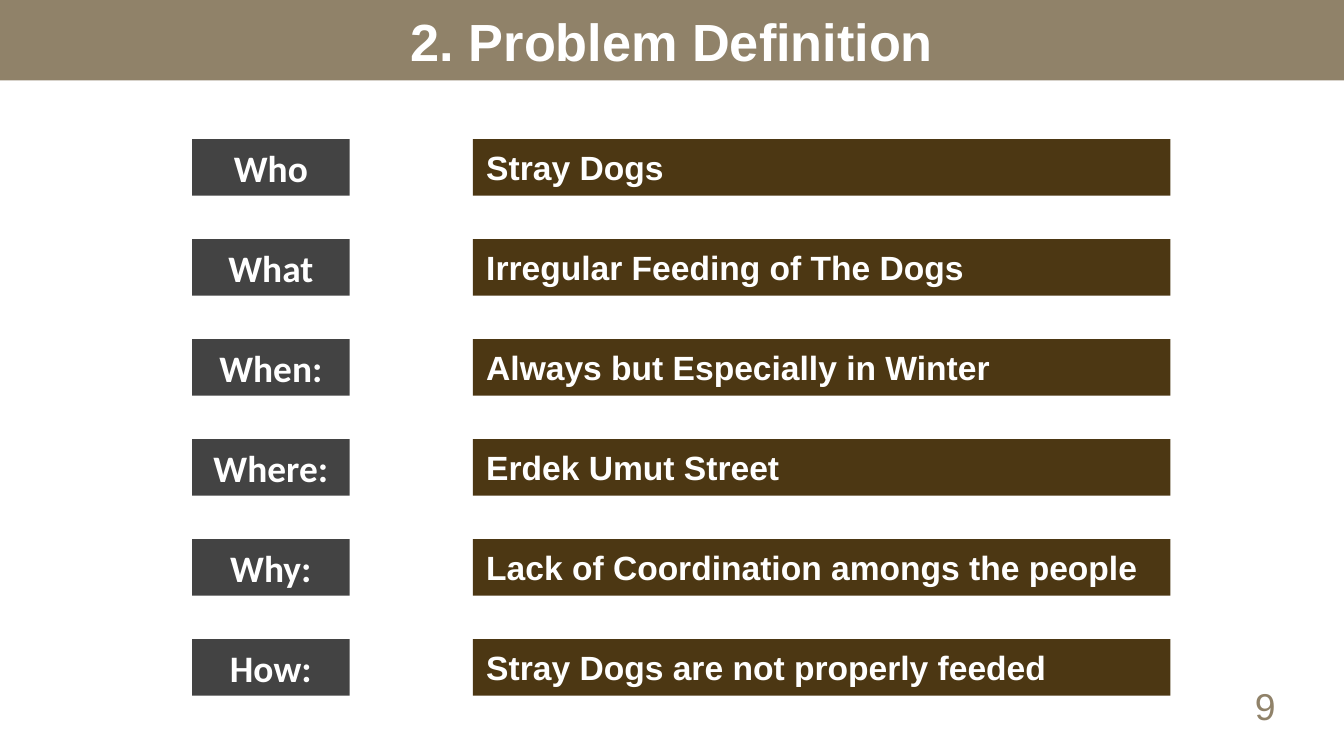
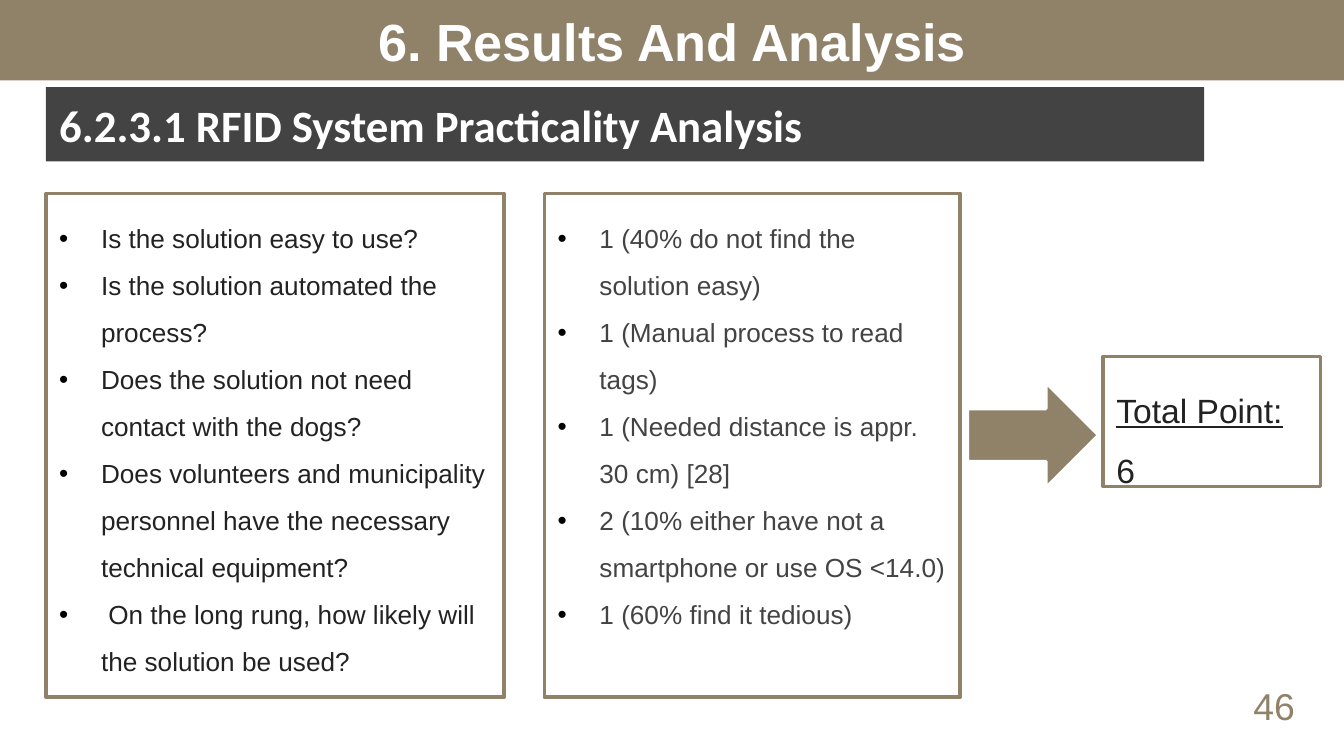
import lxml.etree
import pptx
import pptx.dml.color
import pptx.enum.shapes
import pptx.enum.text
import pptx.oxml.ns
import pptx.util

Cm = pptx.util.Cm
Pt = pptx.util.Pt
RGBColor = pptx.dml.color.RGBColor
Align = pptx.enum.text.PP_ALIGN
Anchor = pptx.enum.text.MSO_ANCHOR
Shape = pptx.enum.shapes.MSO_SHAPE

TAUPE = RGBColor(0x90, 0x82, 0x69)
BROWN = RGBColor(0x4C, 0x37, 0x13)
CHARCOAL = RGBColor(0x43, 0x43, 0x43)
INK = RGBColor(0x22, 0x22, 0x22)
WHITE = RGBColor(0xFF, 0xFF, 0xFF)
BLACK = RGBColor(0, 0, 0)

SLIDE_WIDTH, SLIDE_HEIGHT = 25.4, 14.29
BAND_HEIGHT = 1.52
INSET = 0.25
BULLET_INDENT = 0.79
LAYOUT_TITLE_ONLY = 5

PROBLEM_ROWS = [
    ("Who", "Stray Dogs"),
    ("What", "Irregular Feeding of The Dogs"),
    ("When:", "Always but Especially in Winter"),
    ("Where:", "Erdek Umut Street"),
    ("Why:", "Lack of Coordination amongs the people"),
    ("How:", "Stray Dogs are not properly feeded"),
]
QUESTIONS = [
    "Is the solution easy to use?",
    "Is the solution automated the process?",
    "Does the solution not need contact with the dogs?",
    "Does volunteers and municipality personnel have the necessary technical equipment?",
    " On the long rung, how likely will the solution be used?",
]
SCORES = [
    "1 (40% do not find the solution easy)",
    "1 (Manual process to read tags)",
    "1 (Needed distance is appr. 30 cm) [28]",
    "2 (10% either have not a smartphone or use OS <14.0)",
    "1 (60% find it tedious)",
]


def lengths(box):
    return [Cm(value) for value in box]


def add_block(slide, box, fill, line=None, kind=Shape.RECTANGLE):
    shape = slide.shapes.add_shape(kind, *lengths(box))
    shape.shadow.inherit = False
    shape.fill.solid()
    shape.fill.fore_color.rgb = fill
    if line is None:
        shape.line.fill.background()
    else:
        shape.line.color.rgb = line
        shape.line.width = Pt(2)
    return shape


def set_insets(frame):
    frame.margin_left = frame.margin_right = Cm(INSET)
    frame.margin_top = frame.margin_bottom = Cm(INSET)


def write(shape, lines, size, color, font="Arial", bold=False,
          align=Align.LEFT, anchor=Anchor.MIDDLE, spacing=None, bullets=False):
    """Fill a shape with one formatted paragraph per line."""
    frame = shape.text_frame
    frame.word_wrap = True
    frame.vertical_anchor = anchor
    frame.text = "\n".join(lines)
    for paragraph in frame.paragraphs:
        if bullets:
            add_bullet(paragraph)
        paragraph.alignment = align
        paragraph.line_spacing = spacing
        for run in paragraph.runs:
            run.font.name = font
            run.font.size = Pt(size)
            run.font.bold = bold
            run.font.color.rgb = color


def add_bullet(paragraph):
    qn = pptx.oxml.ns.qn
    properties = paragraph._p.get_or_add_pPr()
    properties.set("marL", str(Cm(BULLET_INDENT)))
    properties.set("indent", str(-Cm(BULLET_INDENT)))
    color = lxml.etree.SubElement(properties, qn("a:buClr"))
    lxml.etree.SubElement(color, qn("a:srgbClr"), val=str(BLACK))
    lxml.etree.SubElement(properties, qn("a:buFont"), typeface="Arial")
    lxml.etree.SubElement(properties, qn("a:buChar"), char="•")


def add_base_slide(presentation, title_text, number, number_left):
    """Add a slide with the title band and the page number."""
    slide = presentation.slides.add_slide(
        presentation.slide_layouts[LAYOUT_TITLE_ONLY])
    box = (0, 0, SLIDE_WIDTH, BAND_HEIGHT)
    band = add_block(slide, box, TAUPE)
    title = slide.shapes.title
    band.element.addnext(title.element)
    title.left, title.top, title.width, title.height = lengths(box)
    title.text_frame.auto_size = pptx.enum.text.MSO_AUTO_SIZE.NONE
    set_insets(title.text_frame)
    write(title, [title_text], 28, WHITE, bold=True, align=Align.CENTER)
    page = slide.shapes.add_textbox(
        *lengths((number_left, 12.78, SLIDE_WIDTH - number_left, 1.12)))
    write(page, [number], 20, TAUPE, align=Align.CENTER, anchor=Anchor.TOP)
    return slide


def add_problem_row(slide, box, label, answer):
    left, top, width, height = box
    label_width, answer_offset = 2.98, 5.31
    label_block = add_block(slide, (left, top, label_width, height), CHARCOAL)
    answer_block = add_block(
        slide, (left + answer_offset, top, width - answer_offset, height), BROWN)
    for block in (label_block, answer_block):
        set_insets(block.text_frame)
    write(label_block, [label], 20, WHITE, "Calibri", True, Align.CENTER)
    write(answer_block, [answer], 18, WHITE, bold=True)


def add_section_heading(slide, box, text):
    heading = add_block(slide, box, CHARCOAL)
    set_insets(heading.text_frame)
    write(heading, [text], 24, WHITE, "Calibri", True)


def add_framed_text(slide, box, lines, size, color, bullets=False):
    frame = add_block(slide, box, WHITE, TAUPE)
    set_insets(frame.text_frame)
    write(frame, lines, size, color, anchor=Anchor.TOP, spacing=1.5,
          bullets=bullets)
    return frame


def add_total(slide, box):
    """Place the arrow at the left of the box and the total at its right."""
    left, top, width, height = box
    arrow_width, total_offset = 2.49, 2.57
    add_block(slide, (left, top + 0.48, arrow_width, 2.01), TAUPE, WHITE,
              Shape.RIGHT_ARROW)
    total = add_framed_text(
        slide, (left + total_offset, top, width - total_offset, height),
        ["Total Point:", "6"], 18, INK)
    total.text_frame.paragraphs[0].runs[0].font.underline = True


def build_problem_slide(presentation):
    slide = add_base_slide(presentation, "2. Problem Definition", "9", 22.43)
    first_top, pitch = 2.63, 1.89
    for index, (label, answer) in enumerate(PROBLEM_ROWS):
        add_problem_row(slide, (3.63, first_top + index * pitch, 18.49, 1.07),
                        label, answer)


def build_results_slide(presentation):
    slide = add_base_slide(presentation, "6. Results And Analysis", "46", 22.76)
    add_section_heading(slide, (0.87, 1.65, 21.89, 1.4),
                        "6.2.3.1 RFID System Practicality Analysis")
    add_total(slide, (18.28, 6.74, 6.68, 2.46))
    add_framed_text(slide, (0.87, 3.66, 8.66, 9.52), QUESTIONS, 14, INK, True)
    add_framed_text(slide, (10.29, 3.66, 7.86, 9.52), SCORES, 14, CHARCOAL, True)


def main():
    presentation = pptx.Presentation()
    presentation.slide_width = Cm(SLIDE_WIDTH)
    presentation.slide_height = Cm(SLIDE_HEIGHT)
    build_problem_slide(presentation)
    build_results_slide(presentation)
    presentation.save("out.pptx")


if __name__ == "__main__":
    main()
